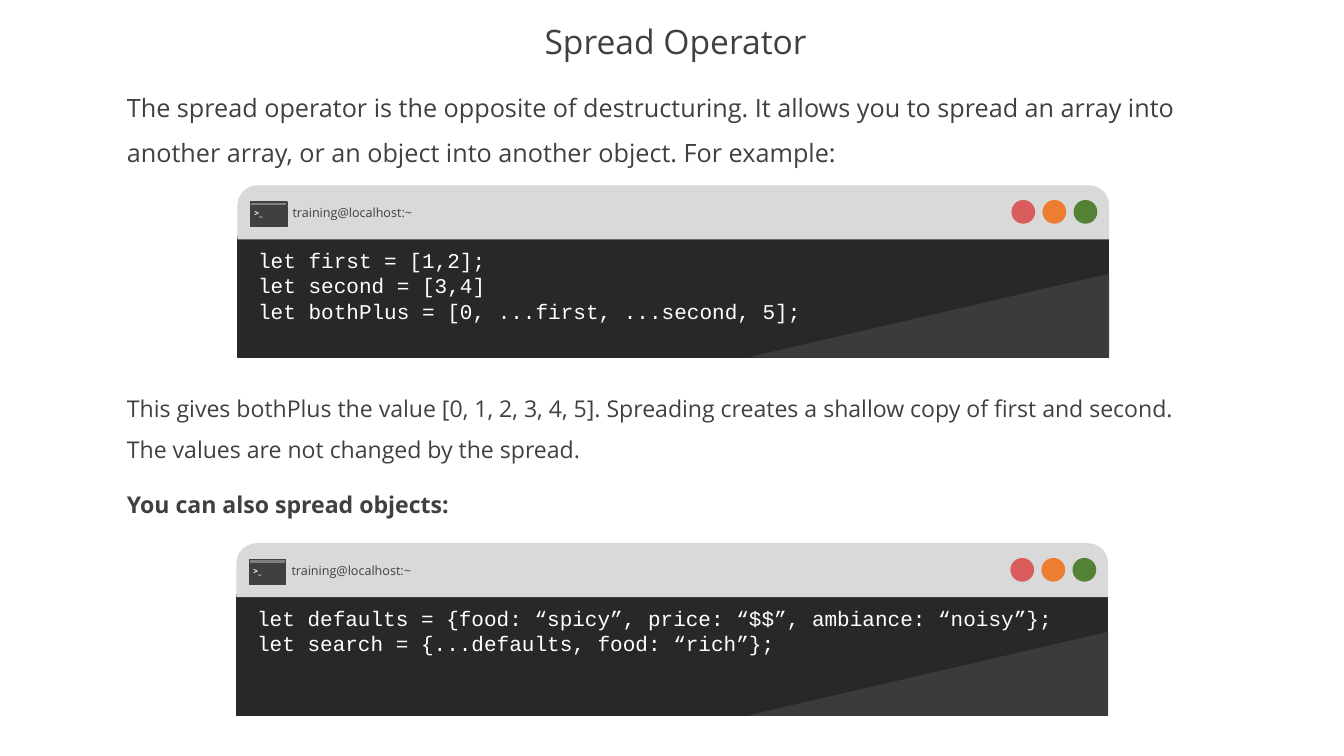
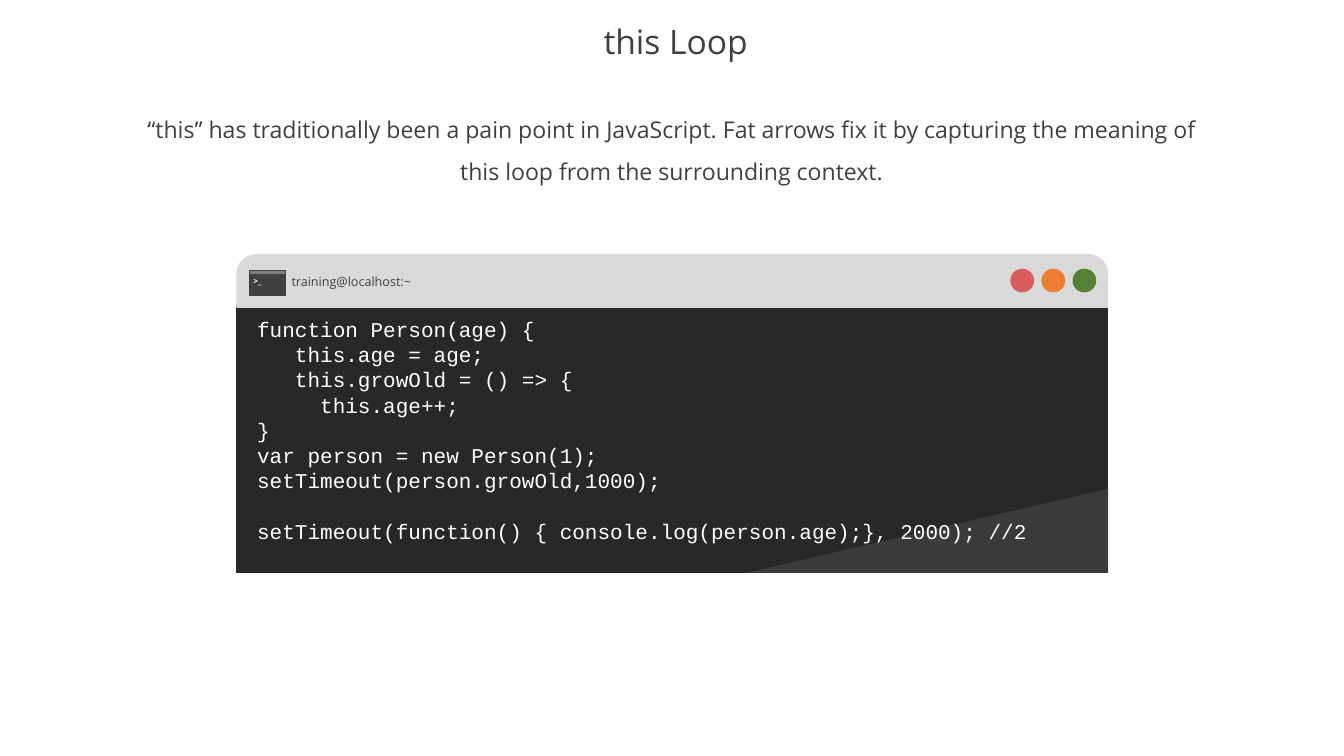
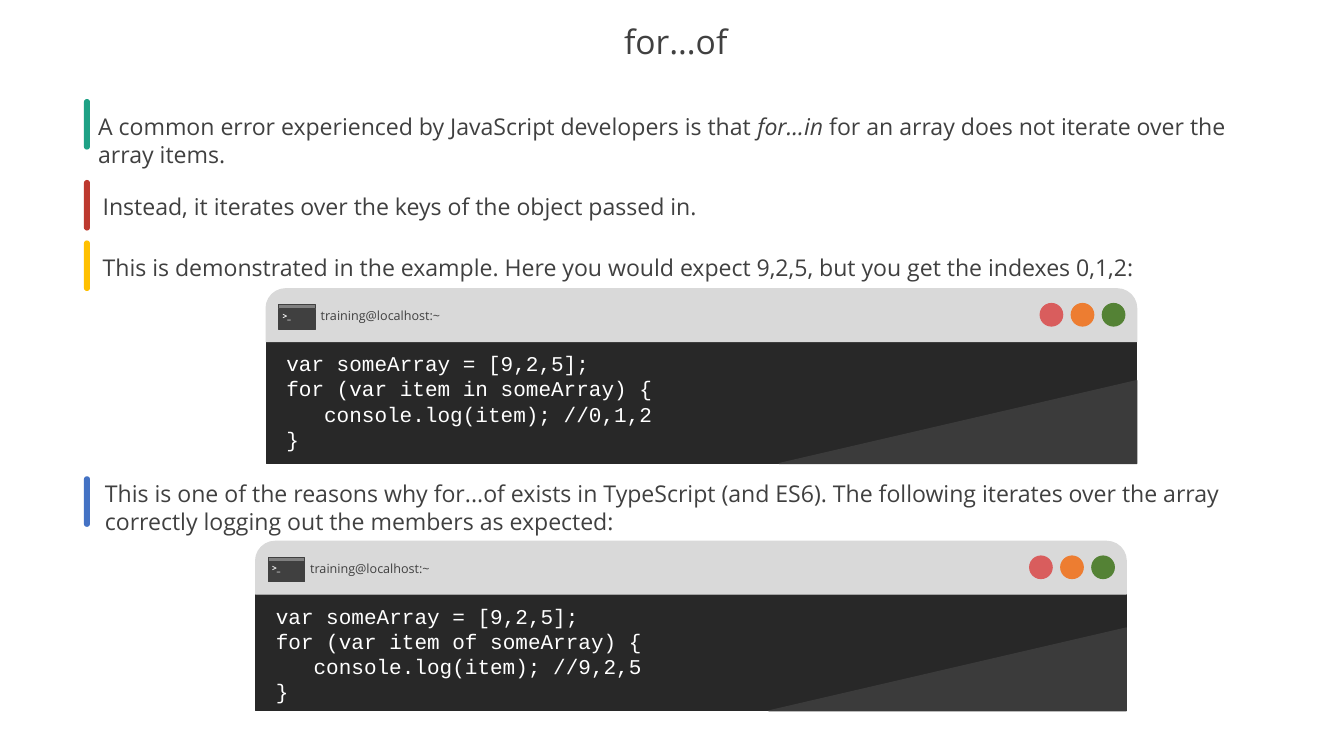
from dataclasses import dataclass

from pptx import Presentation
from pptx.dml.color import RGBColor
from pptx.enum.shapes import MSO_SHAPE
from pptx.enum.text import MSO_ANCHOR, MSO_AUTO_SIZE, PP_ALIGN
from pptx.shapes.autoshape import Shape
from pptx.shapes.shapetree import GroupShapes, SlideShapes
from pptx.slide import Slide
from pptx.text.text import _Paragraph as Paragraph
from pptx.util import Pt

RECTANGLE = MSO_SHAPE.RECTANGLE
ROUND_TOP = MSO_SHAPE.ROUND_2_SAME_RECTANGLE
OVAL = MSO_SHAPE.OVAL
MIDDLE = MSO_ANCHOR.MIDDLE
GROW = MSO_AUTO_SIZE.SHAPE_TO_FIT_TEXT
LEFT, CENTER = PP_ALIGN.LEFT, PP_ALIGN.CENTER

SLIDE_WIDTH, SLIDE_HEIGHT = 1280.16, 720
TITLE_ONLY_LAYOUT = 5
TEXT_FONT, CODE_FONT = "Open Sans", "Courier New"
COLORS = {
    "text": "404040", "white": "FFFFFF",
    "screen": "282828", "shine": "3B3B3B", "window_bar": "D9D9D9", "icon_strip": "808080",
    "close": "D95D5D", "minimize": "ED7D31", "maximize": "548235",
    "green": "1EA185", "red": "BD392F", "yellow": "FFC000", "blue": "4472C4",
}

TERMINAL_WIDTH, WINDOW_BAR_HEIGHT = 829.4, 50.4
SHINE_WIDTH, SHINE_HEIGHT = 340.6, 79
BUTTON_LEFT, BUTTON_STEP, BUTTON_SIZE = 737.3, 29.6, 21.6
MARKER_LEFT, MARKER_WIDTH, MARKER_HEIGHT = 79.9, 5.8, 48.2

Shapes = SlideShapes | GroupShapes


@dataclass(frozen=True)
class Box:
    left: float
    top: float
    width: float
    height: float

    def lengths(self) -> tuple[Pt, Pt, Pt, Pt]:
        return Pt(self.left), Pt(self.top), Pt(self.width), Pt(self.height)


@dataclass(frozen=True)
class TextStyle:
    size: float
    color: str = "text"
    font: str = TEXT_FONT
    bold: bool = False
    alignment: PP_ALIGN = LEFT
    line_spacing: float = 1.0
    wrap: bool = True


@dataclass(frozen=True)
class Terminal:
    left: float
    top: float
    screen_top: float
    screen_height: float
    code: str


@dataclass(frozen=True)
class Point:
    marker_top: float
    color: str
    box: Box
    text: str


TITLE = TextStyle(32, alignment=CENTER, line_spacing=0.9)
LEAD = TextStyle(24, line_spacing=1.5)
BODY = TextStyle(22, line_spacing=1.5)
CENTERED_BODY = TextStyle(22, alignment=CENTER, line_spacing=1.5)
SUBHEADING = TextStyle(22, bold=True)
POINT = TextStyle(22)
CODE = TextStyle(20, "white", CODE_FONT)
HOST = TextStyle(12, wrap=False)
PROMPT = TextStyle(8, "white", bold=True, wrap=False)

SPREAD_TERMINALS = [
    Terminal(226.6, 177, 225.4, 114.8, """\
let first = [1,2];
let second = [3,4]
let bothPlus = [0, ...first, ...second, 5];"""),
    Terminal(225.6, 517.9, 566.6, 114.8, """\
let defaults = {food: “spicy”, price: “$$”, ambiance: “noisy”};
let search = {...defaults, food: “rich”};"""),
]
THIS_TERMINAL = Terminal(225.6, 242.4, 291, 254.2, """\
function Person(age) {
   this.age = age;
   this.growOld = () => {
     this.age++;
}
var person = new Person(1);
setTimeout(person.growOld,1000);

setTimeout(function() { console.log(person.age);}, 2000); //2""")
FOR_LOOP = "var someArray = [9,2,5];\nfor (var item {} someArray) {{\n\tconsole.log(item); //{}\n}}"
FOR_TERMINALS = [
    Terminal(253.4, 275, 313.2, 128.2, FOR_LOOP.format("in", "0,1,2")),
    Terminal(243.4, 515.5, 548.8, 128.2, FOR_LOOP.format("of", "9,2,5")),
]
FOR_POINTS = [
    Point(94.3, "green", Box(86.4, 103.7, 1123.9, 60.5),
          "A common error experienced by JavaScript developers is that *for...in *"
          "for an array does not iterate over the array items."),
    Point(171.4, "red", Box(90.7, 179.3, 833, 33.8),
          "Instead, it iterates over the keys of the object passed in."),
    Point(229, "yellow", Box(90.7, 237.6, 1019.5, 33.8),
          "This is demonstrated in the example. Here you would expect 9,2,5, "
          "but you get the indexes 0,1,2:"),
    Point(453.6, "blue", Box(92.9, 452.9, 1146.2, 60.5),
          "This is one of the reasons why for...of exists in TypeScript (and ES6). The following "
          "iterates over the array correctly logging out the members as expected:"),
]


def rgb(color: str) -> RGBColor:
    return RGBColor.from_string(COLORS[color])


def style_paragraph(paragraph: Paragraph, style: TextStyle) -> None:
    paragraph.alignment = style.alignment
    paragraph.line_spacing = style.line_spacing
    font = paragraph.font
    font.name = style.font
    font.size = Pt(style.size)
    font.bold = style.bold
    font.color.rgb = rgb(style.color)


def add_text(shapes: Shapes, box: Box, text: str, style: TextStyle) -> None:
    """Add a text box with one paragraph a line; words between asterisks are italic."""
    frame = shapes.add_textbox(*box.lengths()).text_frame
    frame.word_wrap = style.wrap
    frame.auto_size = GROW
    for index, line in enumerate(text.split("\n")):
        paragraph = frame.add_paragraph() if index else frame.paragraphs[0]
        style_paragraph(paragraph, style)
        for position, piece in enumerate(line.split("*")):
            if piece:
                run = paragraph.add_run()
                run.text = piece
                if position % 2:
                    run.font.italic = True


def paint(shape: Shape, fill: str, line: str | None) -> None:
    shape.shadow.inherit = False
    shape.fill.solid()
    shape.fill.fore_color.rgb = rgb(fill)
    if line is None:
        shape.line.fill.background()
    else:
        shape.line.color.rgb = rgb(line)
        shape.line.width = Pt(1)


def add_panel(shapes: Shapes, kind: MSO_SHAPE, box: Box, fill: str, line: str | None) -> Shape:
    shape = shapes.add_shape(kind, *box.lengths())
    paint(shape, fill, line)
    return shape


def add_shine(shapes: Shapes, right: float, bottom: float) -> None:
    """Add the lighter triangle in the lower right corner of a screen."""
    builder = shapes.build_freeform(Pt(right), Pt(bottom - SHINE_HEIGHT))
    builder.add_line_segments([(Pt(right), Pt(bottom)), (Pt(right - SHINE_WIDTH), Pt(bottom))])
    paint(builder.convert_to_shape(), "shine", "shine")


def add_terminal(slide: Slide, terminal: Terminal) -> None:
    shapes = slide.shapes.add_group_shape().shapes
    left, top = terminal.left, terminal.top

    def place(x: float, y: float, width: float, height: float) -> Box:
        return Box(left + x, top + y, width, height)

    screen = Box(left, terminal.screen_top, TERMINAL_WIDTH, terminal.screen_height)
    add_panel(shapes, RECTANGLE, screen, "screen", "screen")
    add_shine(shapes, left + TERMINAL_WIDTH, screen.top + screen.height)
    window_bar = add_panel(shapes, ROUND_TOP, place(0, 0, TERMINAL_WIDTH, WINDOW_BAR_HEIGHT),
                           "window_bar", "window_bar")
    window_bar.adjustments[0] = 0.37
    for index, color in enumerate(("close", "minimize", "maximize")):
        button = place(BUTTON_LEFT + index * BUTTON_STEP, 14, BUTTON_SIZE, BUTTON_SIZE)
        add_panel(shapes, OVAL, button, color, color)
    add_text(shapes, place(45, 15.1, 129.6, 21.6), "training@localhost:~", HOST)
    add_panel(shapes, RECTANGLE, place(12.2, 19.4, 34.6, 19.4), "text", "text")
    add_panel(shapes, RECTANGLE, place(12.2, 15.4, 34.6, 3.6), "icon_strip", "text")
    add_text(shapes, place(8.6, 17.3, 22.3, 17.3), ">_", PROMPT)
    add_text(shapes, place(12.2, 55.4, 784.1, 80), terminal.code, CODE)


def add_point(slide: Slide, point: Point) -> None:
    marker = add_panel(slide.shapes, ROUND_TOP,
                       Box(MARKER_LEFT, point.marker_top, MARKER_WIDTH, MARKER_HEIGHT),
                       point.color, None)
    marker.adjustments[0] = marker.adjustments[1] = 0.5
    add_text(slide.shapes, point.box, point.text, POINT)


def add_titled_slide(presentation: Presentation, text: str) -> Slide:
    slide = presentation.slides.add_slide(presentation.slide_layouts[TITLE_ONLY_LAYOUT])
    title = slide.shapes.title
    title.left, title.top, title.width, title.height = Box(0, 15.1, SLIDE_WIDTH, 52.6).lengths()
    frame = title.text_frame
    frame.text = text
    frame.word_wrap = True
    frame.vertical_anchor = MIDDLE
    frame.margin_left = Pt(7.2)
    frame.margin_top = frame.margin_right = frame.margin_bottom = 0
    style_paragraph(frame.paragraphs[0], TITLE)
    return slide


def add_spread_slide(presentation: Presentation) -> None:
    slide = add_titled_slide(presentation, "Spread Operator")
    add_text(slide.shapes, Box(113.8, 69.8, 1039, 94.3),
             "The spread operator is the opposite of destructuring. It allows you to spread an "
             "array into another array, or an object into another object. For example:", LEAD)
    add_text(slide.shapes, Box(113.8, 358.6, 1025.3, 87.1),
             "This gives bothPlus the value [0, 1, 2, 3, 4, 5]. Spreading creates a shallow copy "
             "of first and second. The values are not changed by the spread.", BODY)
    add_text(slide.shapes, Box(113.8, 463.7, 640, 33.8), "You can also spread objects:", SUBHEADING)
    for terminal in SPREAD_TERMINALS:
        add_terminal(slide, terminal)


def add_this_slide(presentation: Presentation) -> None:
    slide = add_titled_slide(presentation, "this Loop")
    add_text(slide.shapes, Box(122.4, 93.6, 1034.6, 87.1),
             "“this” has traditionally been a pain point in JavaScript. Fat arrows fix it by "
             "capturing the meaning of this loop from the surrounding context.", CENTERED_BODY)
    add_terminal(slide, THIS_TERMINAL)


def add_for_slide(presentation: Presentation) -> None:
    slide = add_titled_slide(presentation, "for…of")
    for point in FOR_POINTS:
        add_point(slide, point)
    for terminal in FOR_TERMINALS:
        add_terminal(slide, terminal)


def main() -> None:
    presentation = Presentation()
    presentation.slide_width = Pt(SLIDE_WIDTH)
    presentation.slide_height = Pt(SLIDE_HEIGHT)
    add_spread_slide(presentation)
    add_this_slide(presentation)
    add_for_slide(presentation)
    presentation.save("out.pptx")


if __name__ == "__main__":
    main()
